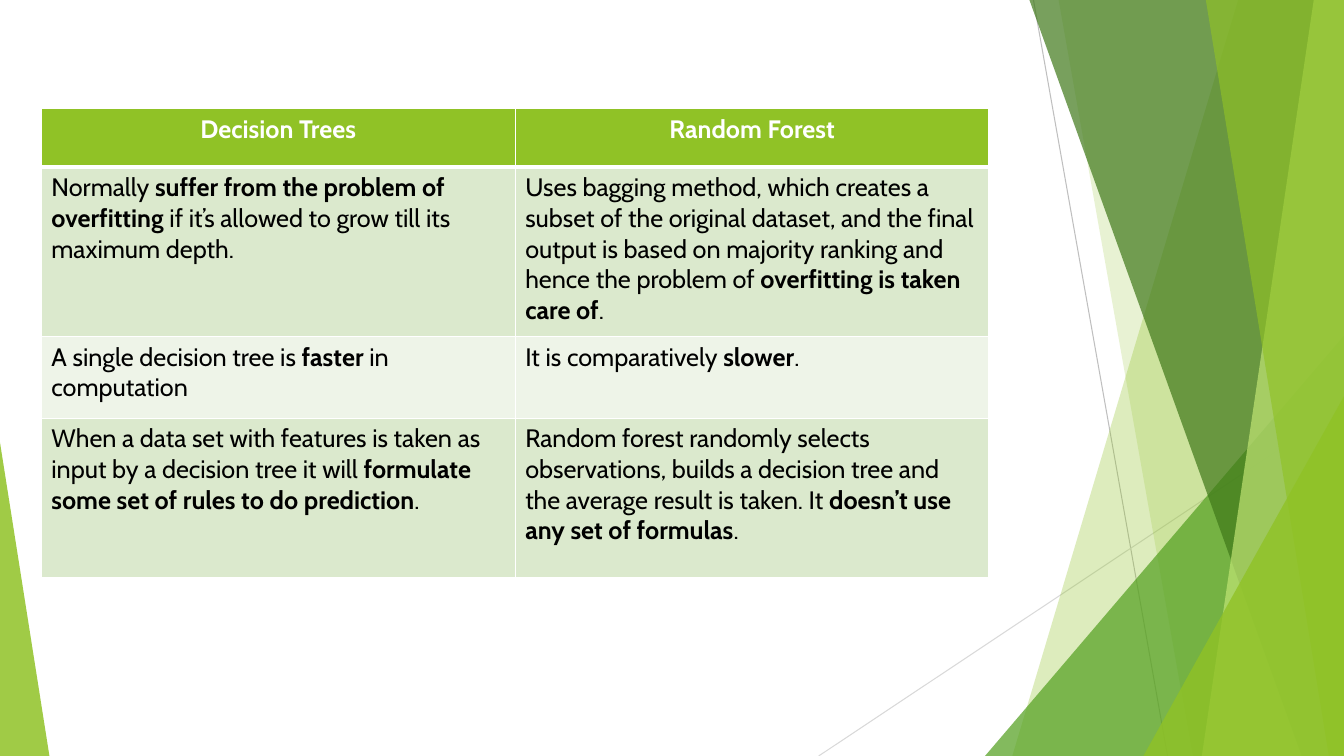
from lxml.etree import SubElement
from pptx import Presentation
from pptx.dml.color import RGBColor
from pptx.enum.shapes import MSO_CONNECTOR, MSO_SHAPE
from pptx.enum.text import PP_ALIGN
from pptx.oxml.ns import qn
from pptx.util import Inches, Pt

WIDE, HIGH = 13.33, 7.5
FONT = "Cabin"
HUES = {
    "lime": "90C226", "leaf": "54A021", "moss": "3F7819", "pale": "C0E474",
    "gray": "BFBFBF", "mist": "D9D9D9", "white": "FFFFFF", "black": "000000",
    "odd": "DBE9CD", "even": "EEF4E8",
}
RAYS = [("gray", 10.25, 0, 11.58, HIGH), ("mist", WIDE, 4.03, 8.12, HIGH)]
SHARDS = [
    ("band", "lime", 30, 12.28, 10.04),
    ("band", "lime", 20, 10.5, 11.83),
    ("wedge", "leaf", 72, 9.77, 3.33),
    ("band", "moss", 70, 10.21, 12.91),
    ("band", "pale", 70, 13.03, 11.92),
    ("band", "lime", 65, 11.96, 13.18),
    ("wedge", "lime", 80, 11.34, 3.93),
]
ROWS = [
    (0.58, ("", "Decision Trees", ""), ("", "Random Forest", "")),
    (1.68,
     ("Normally ", "suffer from the problem of overfitting",
      " if it’s allowed to grow till its maximum depth."),
     ("Uses bagging method, which creates a subset of the original dataset, and the final "
      "output is based on majority ranking and hence the problem of ",
      "overfitting is taken care of", ".")),
    (0.81,
     ("A single decision tree is ", "faster", " in computation"),
     ("It is comparatively ", "slower", ".")),
    (1.58,
     ("When a data set with features is taken as input by a decision tree it will ",
      "formulate some set of rules to do prediction", "."),
     ("Random forest randomly selects observations, builds a decision tree and the average "
      "result is taken. It ", "doesn’t use any set of formulas", ".")),
]


def hue(name):
    """Return the named colour."""
    return RGBColor.from_string(HUES[name])


def tint(shape, name, share):
    """Fill a shape with a see-through colour and no outline."""
    shape.shadow.inherit = False
    shape.line.fill.background()
    shape.fill.solid()
    shape.fill.fore_color.rgb = hue(name)
    color = shape.fill._xPr.find(qn("a:solidFill"))[0]
    SubElement(color, qn("a:alpha"), val=str(share * 1000))


def ray(slide, name, *ends):
    """Draw one thin line across the backdrop."""
    line = slide.shapes.add_connector(MSO_CONNECTOR.STRAIGHT, *map(Inches, ends))
    line.line.color.rgb = hue(name)
    line.line.width = Pt(0.75)
    SubElement(line._element.spPr, qn("a:effectLst"))


def band(slide, name, share, top, foot):
    """Fill from a slanted left edge to the right side of the slide."""
    pen = slide.shapes.build_freeform(Inches(top), 0)
    spots = [(WIDE, 0), (WIDE, HIGH), (foot, HIGH)]
    pen.add_line_segments([(Inches(x), Inches(y)) for x, y in spots])
    tint(pen.convert_to_shape(), name, share)


def wedge(slide, name, share, left, top, right=WIDE, peak=1):
    """Stand a right triangle on the foot of the slide."""
    box = map(Inches, (left, top, right - left, HIGH - top))
    shape = slide.shapes.add_shape(MSO_SHAPE.ISOSCELES_TRIANGLE, *box)
    shape.adjustments[0] = peak
    tint(shape, name, share)


def facets(slide):
    """Build the backdrop of rays and green facets."""
    for item in RAYS:
        ray(slide, *item)
    for kind, *item in SHARDS:
        (band if kind == "band" else wedge)(slide, *item)
    wedge(slide, "lime", 85, 0, 4.39, right=0.49, peak=0)


def edges(cell, row):
    """Rule a cell in white, heavier below the header."""
    props = cell._tc.get_or_add_tcPr()
    for side in "LRTB":
        thick = (row, side) in [(0, "B"), (1, "T")]
        line = SubElement(props, qn("a:ln" + side), w=str(Pt(3 if thick else 1)))
        fill = SubElement(line, qn("a:solidFill"))
        SubElement(fill, qn("a:srgbClr"), val=HUES["white"])


def write(cell, parts, row):
    """Fill a cell with plain, bold and plain runs."""
    edges(cell, row)
    cell.fill.solid()
    cell.fill.fore_color.rgb = hue("lime" if row == 0 else "odd" if row % 2 else "even")
    para = cell.text_frame.paragraphs[0]
    para.alignment = PP_ALIGN.LEFT if row else PP_ALIGN.CENTER
    for spot, text in enumerate(parts):
        if text:
            run = para.add_run()
            run.text = text
            run.font.name = FONT
            run.font.size = Pt(18)
            run.font.bold = spot == 1
            run.font.color.rgb = hue("black" if row else "white")


def grid(slide, left, top, width):
    """Place the comparison table in two equal columns."""
    high = sum(row[0] for row in ROWS)
    box = map(Inches, (left, top, width, high))
    table = slide.shapes.add_table(len(ROWS), 2, *box).table
    for row, (tall, *cells) in enumerate(ROWS):
        table.rows[row].height = Inches(tall)
        for col, parts in enumerate(cells):
            write(table.cell(row, col), parts, row)


def main():
    """Build and save the slide."""
    deck = Presentation()
    deck.slide_width, deck.slide_height = Inches(WIDE), Inches(HIGH)
    slide = deck.slides.add_slide(deck.slide_layouts[6])
    facets(slide)
    grid(slide, 0.41, 1.08, 9.4)
    deck.save("out.pptx")


if __name__ == "__main__":
    main()
